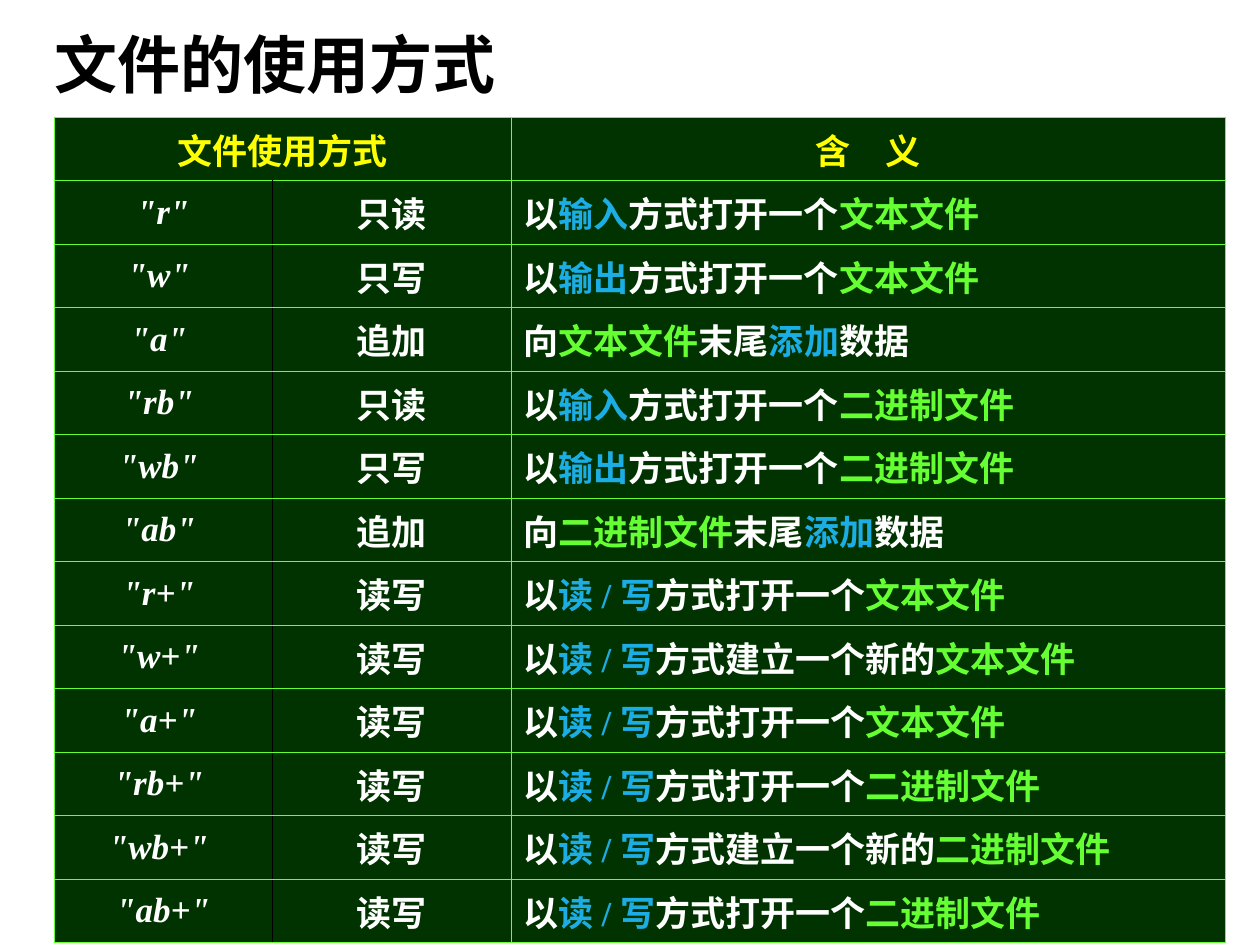
from lxml.etree import SubElement
from pptx import Presentation
from pptx.dml.color import RGBColor
from pptx.enum.lang import MSO_LANGUAGE_ID as Lang
from pptx.enum.text import MSO_ANCHOR as Anchor, PP_ALIGN as Align
from pptx.oxml.ns import qn
from pptx.util import Cm, Pt

BLACK = RGBColor(0x00, 0x00, 0x00)
WHITE = RGBColor(0xFF, 0xFF, 0xFF)
YELLOW = RGBColor(0xFF, 0xFF, 0x00)
BLUE = RGBColor(0x1C, 0xAD, 0xE4)
LIME = RGBColor(0x66, 0xFF, 0x33)
DARK_GREEN = RGBColor(0x00, 0x33, 0x00)

TITLE = "文件的使用方式"
HEADERS = {0: "文件使用方式", 2: "含　义"}
TEXT_FILE, BINARY_FILE = "文本文件", "二进制文件"
HIGHLIGHTS = {
    TEXT_FILE: LIME, BINARY_FILE: LIME,
    "输入": BLUE, "输出": BLUE, "添加": BLUE, "读 / 写": BLUE,
}
READ = ("以", "输入", "方式打开一个")
WRITE = ("以", "输出", "方式打开一个")
UPDATE = ("以", "读 / 写", "方式打开一个")
CREATE = ("以", "读 / 写", "方式建立一个新的")
MODES = [
    ('"r"', "只读", (*READ, TEXT_FILE)),
    ('"w" ', "只写", (*WRITE, TEXT_FILE)),
    ('"a" ', "追加", ("向", TEXT_FILE, "末尾", "添加", "数据")),
    ('"rb" ', "只读", (*READ, BINARY_FILE)),
    ('"wb" ', "只写", (*WRITE, BINARY_FILE)),
    ('"ab" ', "追加", ("向", BINARY_FILE, "末尾", "添加", "数据")),
    ('"r+" ', "读写", (*UPDATE, TEXT_FILE)),
    ('"w+" ', "读写", (*CREATE, TEXT_FILE)),
    ('"a+" ', "读写", (*UPDATE, TEXT_FILE)),
    ('"rb+" ', "读写", (*UPDATE, BINARY_FILE)),
    ('"wb+" ', "读写", (*CREATE, BINARY_FILE)),
    ('"ab+"', "读写", (*UPDATE, BINARY_FILE)),
]
COLUMN_WIDTHS = [Cm(4.4), Cm(4.81), Cm(14.4)]
ROW_HEIGHT = Cm(1.28)


def add_run(paragraph, text, color, size=20, font="Times New Roman", italic=False):
    run = paragraph.add_run()
    run.text = text
    run.font.name = font
    run.font.size = Pt(size)
    run.font.bold = True
    run.font.italic = italic
    run.font.color.rgb = color
    run.font.language_id = Lang.SIMPLIFIED_CHINESE


def fill_cell(cell, parts, align=Align.CENTER, anchor=Anchor.MIDDLE, color=WHITE, italic=False):
    cell.vertical_anchor = anchor
    paragraph = cell.text_frame.paragraphs[0]
    paragraph.alignment = align
    paragraph.space_before = Pt(5)
    for part in parts:
        add_run(paragraph, part, HIGHLIGHTS.get(part, color), italic=italic)


def draw_borders(cell, left=LIME, right=LIME):
    properties = cell._tc.get_or_add_tcPr()
    sides = {"a:lnL": left, "a:lnR": right, "a:lnT": LIME, "a:lnB": LIME}
    for position, (side, color) in enumerate(sides.items()):
        line = SubElement(properties, qn(side), w=str(Pt(0.45)))
        SubElement(SubElement(line, qn("a:solidFill")), qn("a:srgbClr"), val=str(color))
        properties.insert(position, line)


def add_title(slide):
    title = slide.shapes.add_textbox(Cm(0.84), Cm(0.43), Cm(21.59), Cm(1.9)).text_frame
    title.word_wrap = True
    title.vertical_anchor = Anchor.MIDDLE
    title.paragraphs[0].line_spacing = 0.9
    add_run(title.paragraphs[0], TITLE, BLACK, size=36, font="Arial")


def add_modes(slide):
    row_count = len(MODES) + 1
    modes = slide.shapes.add_table(
        row_count, len(COLUMN_WIDTHS), Cm(1.09), Cm(2.36),
        sum(COLUMN_WIDTHS), ROW_HEIGHT * row_count).table
    for column, width in zip(modes.columns, COLUMN_WIDTHS):
        column.width = width
    for row in modes.rows:
        row.height = ROW_HEIGHT

    modes.cell(0, 0).merge(modes.cell(0, 1))
    for column, header in HEADERS.items():
        fill_cell(modes.cell(0, column), [header], anchor=Anchor.TOP, color=YELLOW)
    for row, (mode, access, meaning) in enumerate(MODES, 1):
        fill_cell(modes.cell(row, 0), [mode], italic=True)
        fill_cell(modes.cell(row, 1), [access])
        fill_cell(modes.cell(row, 2), meaning, align=Align.LEFT)

    for row in range(row_count):
        divider = BLACK if row else LIME
        for column in range(len(COLUMN_WIDTHS)):
            cell = modes.cell(row, column)
            cell.fill.solid()
            cell.fill.fore_color.rgb = DARK_GREEN
            draw_borders(cell, left=divider if column == 1 else LIME,
                         right=divider if column == 0 else LIME)


def main():
    deck = Presentation()
    deck.slide_width, deck.slide_height = Cm(25.4), Cm(19.05)
    slide = deck.slides.add_slide(deck.slide_layouts[6])
    add_title(slide)
    add_modes(slide)
    deck.save("out.pptx")


if __name__ == "__main__":
    main()
